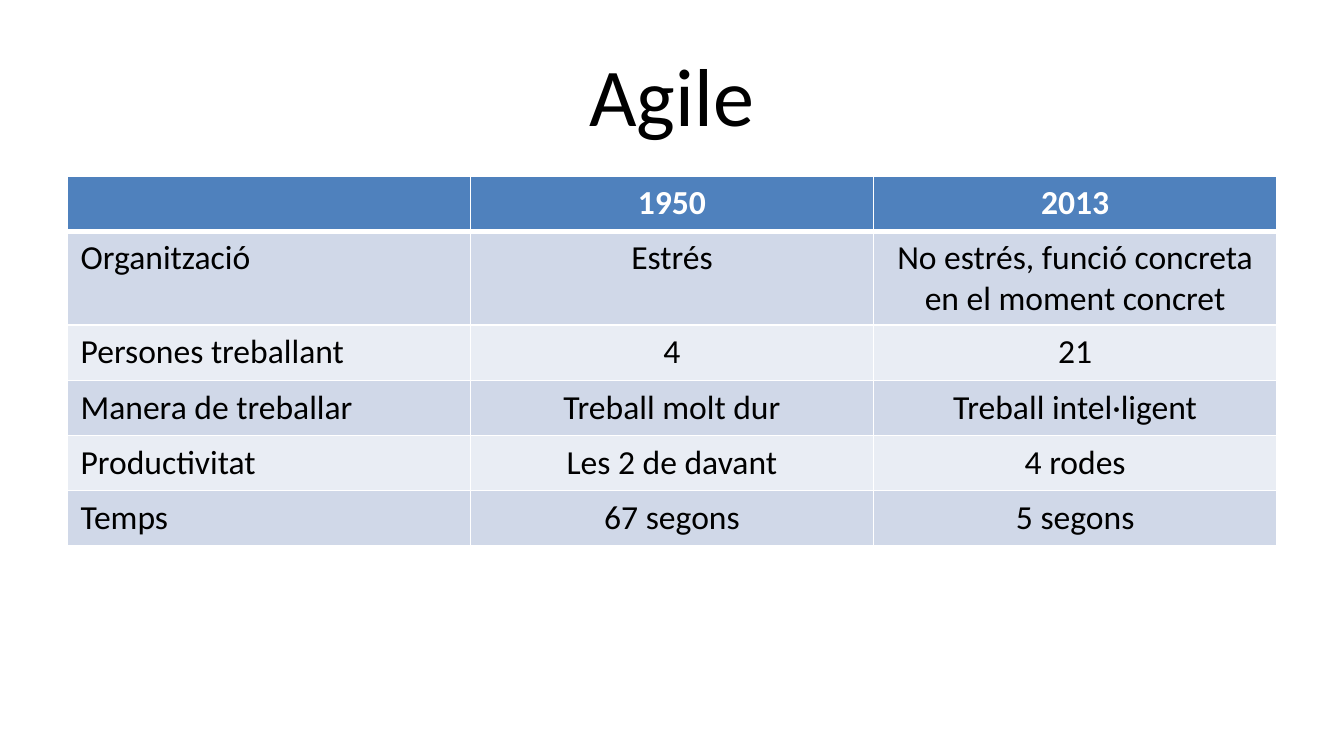
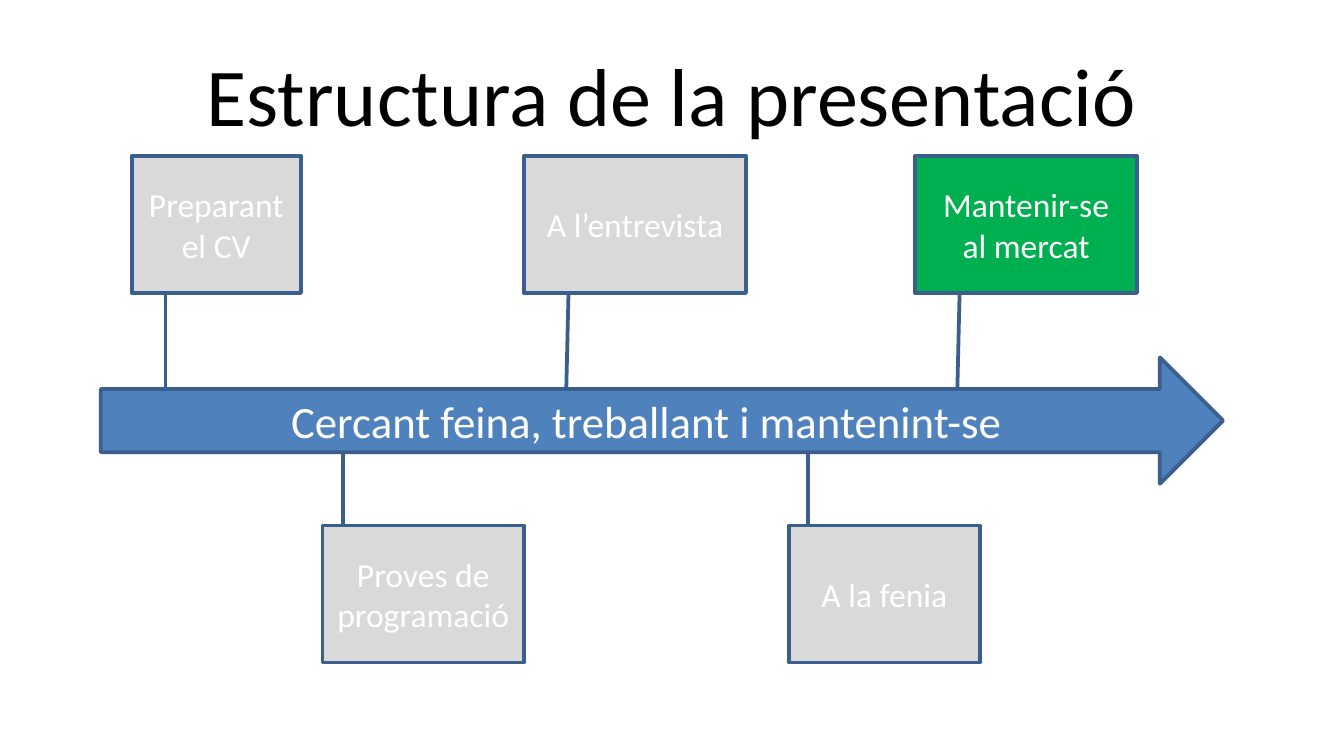
from dataclasses import dataclass

from lxml import etree
from pptx import Presentation
from pptx.dml.color import RGBColor
from pptx.enum.shapes import MSO_SHAPE
from pptx.enum.text import MSO_ANCHOR, PP_ALIGN
from pptx.oxml.ns import qn
from pptx.slide import Slide
from pptx.table import _Cell
from pptx.text.text import TextFrame
from pptx.util import Inches, Pt

ARROW = MSO_SHAPE.RIGHT_ARROW
CALLOUT = MSO_SHAPE.LINE_CALLOUT_1
LEFT, CENTER = PP_ALIGN.LEFT, PP_ALIGN.CENTER
TOP, MIDDLE = MSO_ANCHOR.TOP, MSO_ANCHOR.MIDDLE


@dataclass(frozen=True)
class Theme:
    font: str = "Calibri"
    black: str = "000000"
    white: str = "FFFFFF"
    blue: str = "4F81BD"
    edge: str = "3A5F8C"
    gray: str = "D9D9D9"
    green: str = "00B050"
    bands: tuple[str, str] = ("D0D8E8", "E9EDF4")
    title: int = 44
    lead: int = 24
    body: int = 18
    line: int = 2
    rule: int = 1
    thick: int = 3


@dataclass(frozen=True)
class Box:
    left: float
    top: float
    width: float
    height: float

    def emu(self) -> tuple[int, ...]:
        return tuple(Inches(v) for v in (self.left, self.top, self.width, self.height))


@dataclass(frozen=True)
class Step:
    """A callout on the time line; leader holds y, x of its start and end."""
    text: str
    box: Box
    leader: tuple[float, ...]
    fill: str


THEME = Theme()
WIDTH = Inches(10)
HEIGHT = WIDTH * 9 // 16
TITLE = Box(0.5, 0.23, 9, 0.94)
GRID = Box(0.5, 1.31, 9, 2.46)
ROAD = Box(0.75, 2.66, 8.35, 0.94)
HIGH, LOW, TALL = 1.16, 3.91, 1.02
DOWN = (1.0, 0.2, 1.7, 0.2)
SLANT = (1.0, 0.2, 1.7, 0.19)
UP = (0.0, 0.1, -0.54, 0.1)

ROWS = (
    ("", "1950", "2013"),
    ("Organització", "Estrés", "No estrés, funció concreta en el moment concret"),
    ("Persones treballant", "4", "21"),
    ("Manera de treballar", "Treball molt dur", "Treball intel·ligent"),
    ("Productivitat", "Les 2 de davant", "4 rodes"),
    ("Temps", "67 segons", "5 segons"),
)

STEPS = (
    Step("Preparant el CV", Box(0.98, HIGH, 1.26, TALL), DOWN, THEME.gray),
    Step("Proves de programació", Box(2.4, LOW, 1.5, TALL), UP, THEME.gray),
    Step("A l’entrevista", Box(3.9, HIGH, 1.65, TALL), SLANT, THEME.gray),
    Step("A la fenia", Box(5.87, LOW, 1.42, TALL), UP, THEME.gray),
    Step("Mantenir-se al mercat", Box(6.81, HIGH, 1.65, TALL), SLANT, THEME.green),
)


def rgb(color: str) -> RGBColor:
    return RGBColor.from_string(color)


def write(frame: TextFrame, text: str, size: int, color: str, align: PP_ALIGN = CENTER,
          bold: bool = False, anchor: MSO_ANCHOR = MIDDLE) -> None:
    frame.word_wrap = True
    frame.vertical_anchor = anchor
    para = frame.paragraphs[0]
    para.text = text
    para.alignment = align
    font = para.font
    font.name, font.size, font.bold = THEME.font, Pt(size), bold
    font.color.rgb = rgb(color)


def add_page(deck: Presentation, title: str) -> Slide:
    page = deck.slides.add_slide(deck.slide_layouts[6])
    box = page.shapes.add_textbox(*TITLE.emu())
    write(box.text_frame, title, THEME.title, THEME.black)
    return page


def add_block(page: Slide, kind: MSO_SHAPE, box: Box, text: str, size: int,
              fill: str, adjust: tuple[float, ...] = ()) -> None:
    block = page.shapes.add_shape(kind, *box.emu())
    block.shadow.inherit = False
    block.fill.solid()
    block.fill.fore_color.rgb = rgb(fill)
    block.line.color.rgb = rgb(THEME.edge)
    block.line.width = Pt(THEME.line)
    for spot, value in enumerate(adjust):
        block.adjustments[spot] = value
    write(block.text_frame, text, size, THEME.white)


def add_rules(cell: _Cell, top: int, bottom: int) -> None:
    """Draw white borders; call before the cell gets its fill."""
    props = cell._tc.get_or_add_tcPr()
    widths = {"L": THEME.rule, "R": THEME.rule, "T": top, "B": bottom}
    for side, width in widths.items():
        line = etree.SubElement(props, qn(f"a:ln{side}"), w=str(Pt(width)))
        fill = etree.SubElement(line, qn("a:solidFill"))
        etree.SubElement(fill, qn("a:srgbClr"), val=THEME.white)


def add_grid(page: Slide) -> None:
    grid = page.shapes.add_table(len(ROWS), len(ROWS[0]), *GRID.emu()).table
    for r, row in enumerate(ROWS):
        head = r == 0
        top = THEME.thick if r == 1 else THEME.rule
        bottom = THEME.thick if head else THEME.rule
        for c, text in enumerate(row):
            cell = grid.cell(r, c)
            add_rules(cell, top, bottom)
            cell.fill.solid()
            cell.fill.fore_color.rgb = rgb(THEME.blue if head else THEME.bands[(r - 1) % 2])
            write(cell.text_frame, text, THEME.body, THEME.white if head else THEME.black,
                  CENTER if c else LEFT, head, TOP)


def main() -> None:
    deck = Presentation()
    deck.slide_width, deck.slide_height = WIDTH, HEIGHT

    add_grid(add_page(deck, "Agile"))

    plan = add_page(deck, "Estructura de la presentació")
    add_block(plan, ARROW, ROAD, "Cercant feina, treballant i mantenint-se",
              THEME.lead, THEME.blue)
    for step in STEPS:
        add_block(plan, CALLOUT, step.box, step.text, THEME.body, step.fill, step.leader)

    deck.save("out.pptx")


if __name__ == "__main__":
    main()
